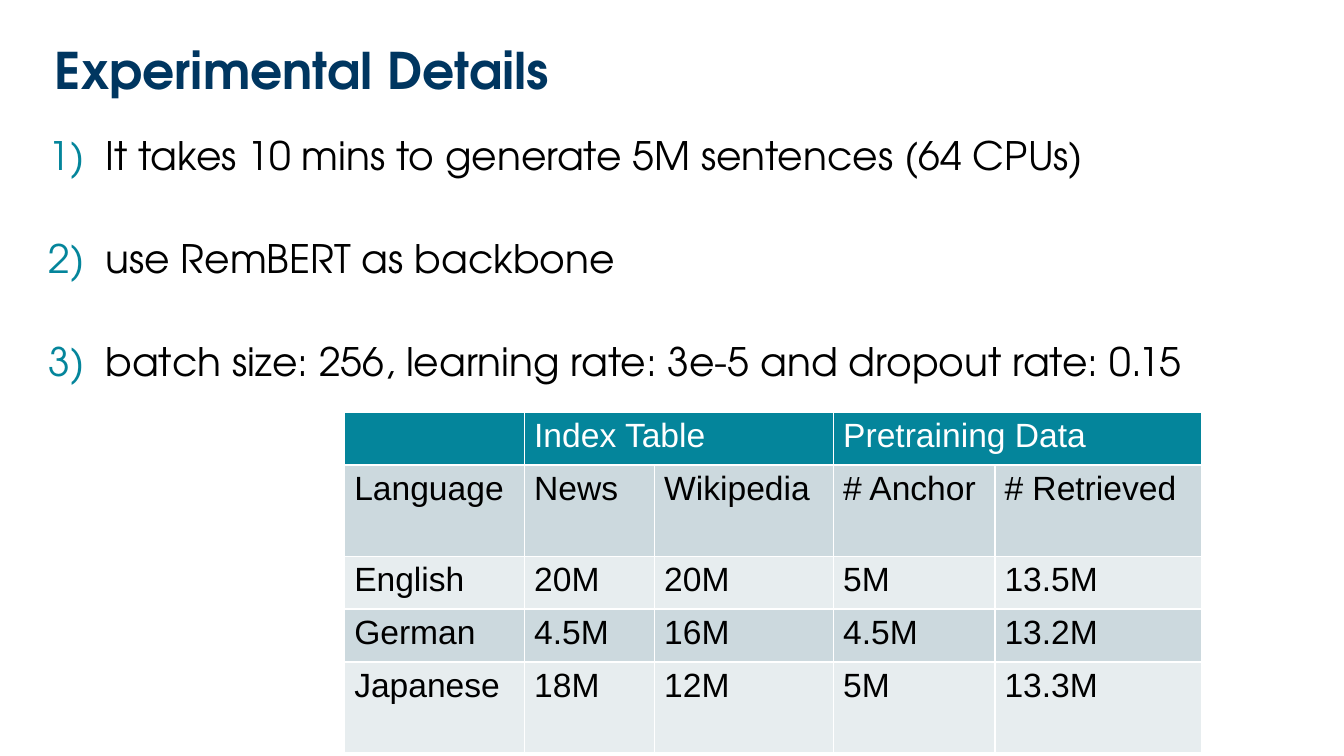
from typing import NamedTuple

from lxml import etree
from pptx import Presentation
from pptx.dml.color import RGBColor
from pptx.enum.text import MSO_ANCHOR
from pptx.oxml.ns import qn
from pptx.util import Pt

MIDDLE = MSO_ANCHOR.MIDDLE
TOP = MSO_ANCHOR.TOP
HEADING_FONT = "TeX Gyre Adventor"
TABLE_FONT = "Arial"
NAVY, TEAL, BLACK, WHITE = "003660", "04859B", "000000", "FFFFFF"
BANDS = ("CCD9DE", "E7EDEF")
BORDER_WIDTH = 1


class Box(NamedTuple):
    left: float
    top: float
    width: float
    height: float


class Style(NamedTuple):
    font: str
    size: float
    color: str
    bold: bool = False


class HeaderGroup(NamedTuple):
    label: str
    first: int
    last: int


TITLE_STYLE = Style(HEADING_FONT, 27, NAVY, True)
DETAIL_STYLE = Style(HEADING_FONT, 21, BLACK)
HEADER_STYLE = Style(TABLE_FONT, 18, WHITE)
BODY_STYLE = Style(TABLE_FONT, 18, BLACK)

TITLE_BOX = Box(22.3, 21.6, 658, 35.3)
TABLE_BOX = Box(184.6, 221, 459.4, 182.4)
DETAILS_BOX = Box(-6.5, 70.5, 715.7, 312.5)

DETAILS = (
    "It takes 10 mins to generate 5M sentences (64 CPUs)",
    "use RemBERT as backbone",
    "batch size: 256, learning rate: 3e-5 and dropout rate: 0.15",
)
HEADER_GROUPS = (
    HeaderGroup("Index Table", 1, 2),
    HeaderGroup("Pretraining Data", 3, 4),
)
LANGUAGE_ROWS = (
    ("Language", "News", "Wikipedia", "# Anchor", "# Retrieved"),
    ("English", "20M", "20M", "5M", "13.5M"),
    ("German", "4.5M", "16M", "4.5M", "13.2M"),
    ("Japanese", "18M", "12M", "5M", "13.3M"),
)
COLUMN_WIDTHS = (96.4, 69.7, 95.9, 86.4, 111)
ROW_HEIGHTS = (28.2, 49, 28.2, 28.2, 48.8)


def rgb(color: str) -> RGBColor:
    return RGBColor.from_string(color)


def apply_style(paragraph, style: Style) -> None:
    font = paragraph.font
    font.name, font.size, font.bold = style.font, Pt(style.size), style.bold
    font.color.rgb = rgb(style.color)


def add_text_frame(slide, box: Box, inset_x: float, inset_y: float, anchor):
    frame = slide.shapes.add_textbox(*map(Pt, box)).text_frame
    frame.word_wrap = True
    frame.vertical_anchor = anchor
    frame.margin_left = frame.margin_right = Pt(inset_x)
    frame.margin_top = frame.margin_bottom = Pt(inset_y)
    return frame


def number_paragraph(paragraph, color: str) -> None:
    properties = paragraph._p.get_or_add_pPr()
    properties.set("marL", str(Pt(57.6)))
    properties.set("indent", str(Pt(-30.4)))
    bullet_color = etree.SubElement(properties, qn("a:buClr"))
    etree.SubElement(bullet_color, qn("a:srgbClr"), val=color)
    etree.SubElement(properties, qn("a:buFont"), typeface="+mj-lt")
    etree.SubElement(properties, qn("a:buAutoNum"), type="arabicParenR")


def add_title(slide) -> None:
    frame = add_text_frame(slide, TITLE_BOX, 7.2, 3.6, MIDDLE)
    frame.text = "Experimental Details"
    heading = frame.paragraphs[0]
    heading.line_spacing = 0.9
    apply_style(heading, TITLE_STYLE)


def add_details(slide) -> None:
    frame = add_text_frame(slide, DETAILS_BOX, 5.4, 2.7, TOP)
    frame.text = "\n".join(DETAILS)
    for index, detail in enumerate(frame.paragraphs):
        detail.level = 1
        detail.line_spacing = 0.9
        detail.space_before = Pt(32.6 if index else 0)
        number_paragraph(detail, TEAL)
        apply_style(detail, DETAIL_STYLE)


def draw_cell(cell, label: str, fill: str, style: Style) -> None:
    cell.text = label
    cell.margin_left = cell.margin_right = Pt(5.2)
    cell.margin_top = cell.margin_bottom = Pt(2.6)
    apply_style(cell.text_frame.paragraphs[0], style)
    properties = cell._tc.get_or_add_tcPr()
    for side in ("lnL", "lnR", "lnT", "lnB"):
        border = etree.SubElement(properties, qn(f"a:{side}"), w=str(Pt(BORDER_WIDTH)))
        border_fill = etree.SubElement(border, qn("a:solidFill"))
        etree.SubElement(border_fill, qn("a:srgbClr"), val=WHITE)
    cell.fill.solid()
    cell.fill.fore_color.rgb = rgb(fill)


def add_language_table(slide) -> None:
    table = slide.shapes.add_table(
        len(ROW_HEIGHTS), len(COLUMN_WIDTHS), *map(Pt, TABLE_BOX)
    ).table
    for column, width in zip(table.columns, COLUMN_WIDTHS):
        column.width = Pt(width)
    for row, height in zip(table.rows, ROW_HEIGHTS):
        row.height = Pt(height)

    group_labels = {group.first: group.label for group in HEADER_GROUPS}
    for column in range(len(COLUMN_WIDTHS)):
        draw_cell(table.cell(0, column), group_labels.get(column, ""), TEAL, HEADER_STYLE)
    for group in HEADER_GROUPS:
        table.cell(0, group.first).merge(table.cell(0, group.last))

    for index, labels in enumerate(LANGUAGE_ROWS):
        for column, label in enumerate(labels):
            band = BANDS[index % len(BANDS)]
            draw_cell(table.cell(index + 1, column), label, band, BODY_STYLE)


def main() -> None:
    presentation = Presentation()
    presentation.slide_width = Pt(720)
    presentation.slide_height = Pt(405)
    slide = presentation.slides.add_slide(presentation.slide_layouts[6])
    add_title(slide)
    add_language_table(slide)
    add_details(slide)
    presentation.save("out.pptx")


if __name__ == "__main__":
    main()
